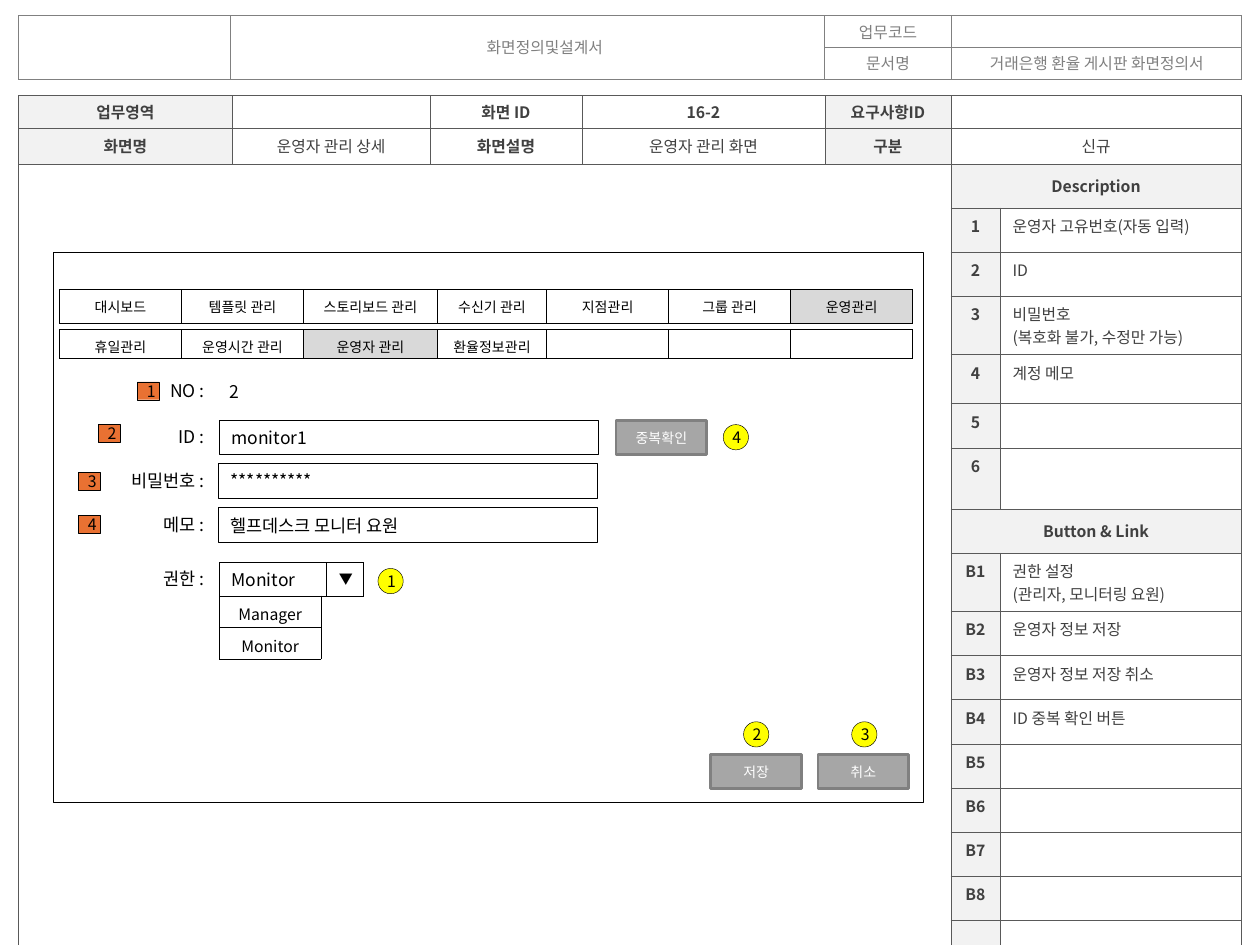
import dataclasses
import lxml.etree
import pptx
import pptx.dml.color
import pptx.enum.shapes
import pptx.enum.text
import pptx.oxml.ns
import pptx.util

Cm = pptx.util.Cm
Pt = pptx.util.Pt
Align = pptx.enum.text.PP_ALIGN
Anchor = pptx.enum.text.MSO_ANCHOR
Shape = pptx.enum.shapes.MSO_SHAPE


@dataclasses.dataclass(frozen=True)
class Theme:
    """Colours, typeface and type sizes of the screen sheet."""
    face: str = "Noto Sans CJK KR"
    white: str = "FFFFFF"
    black: str = "000000"
    gray: str = "808080"
    ink: str = "404040"
    rule: str = "595959"
    label: str = "F2F2F2"
    chosen: str = "D9D9D9"
    button: str = "A6A6A6"
    orange: str = "E97132"
    yellow: str = "FFFF00"
    small: int = 8
    normal: int = 9
    large: int = 10


THEME = Theme()


def colour(code):
    """Turn a hex code into a colour value."""
    return pptx.dml.color.RGBColor.from_string(code)


def assign(target, values):
    """Set each named attribute on the target."""
    for name, value in values.items():
        setattr(target, name, value)


def child(parent, tag, **attributes):
    """Append a drawing element to the parent."""
    return lxml.etree.SubElement(parent, pptx.oxml.ns.qn("a:" + tag), attributes)


def write(frame, text, size, ink, bold=False, align=Align.LEFT, before=0):
    """Fill a text frame, one paragraph for each line of text."""
    frame.text = text
    for para in frame.paragraphs:
        assign(para, {"alignment": align, "space_before": Pt(before)})
        for span in para.runs:
            assign(span.font, {"name": THEME.face, "size": Pt(size), "bold": bold})
            span.font.color.rgb = colour(ink)
            child(span.font._element, "ea", typeface=THEME.face)
        if not para.runs:
            child(para._p, "endParaRPr", sz=str(size * 100))


def draw_borders(cell, ink, width):
    """Put the same line on all four sides of a cell."""
    properties = cell._tc.get_or_add_tcPr()
    for index, tag in enumerate(("lnL", "lnR", "lnT", "lnB")):
        line = child(properties, tag, w=str(Pt(width)))
        child(child(line, "solidFill"), "srgbClr", val=ink)
        properties.insert(index, line)


def draw_table(slide, place, columns, rows, cells, look, merges=()):
    """Draw a table from a sparse dict of cell formats over a shared look."""
    left, top = place
    frame = slide.shapes.add_table(len(rows), len(columns), Cm(left), Cm(top),
                                   Cm(sum(columns)), Cm(sum(rows)))
    table = frame.table
    for parts, name, lengths in ((table.columns, "width", columns),
                                 (table.rows, "height", rows)):
        for part, length in zip(parts, lengths):
            setattr(part, name, Cm(length))
    for row in range(len(rows)):
        for column in range(len(columns)):
            cell = table.cell(row, column)
            style = {"fill": THEME.white, "text": "", "box": {}, "align": Align.CENTER,
                     **look, **cells.get((row, column), {})}
            cell.fill.solid()
            cell.fill.fore_color.rgb = colour(style["fill"])
            assign(cell, {**look.get("box", {}), **style["box"]})
            write(cell.text_frame, style["text"], style["size"], style["ink"],
                  style.get("bold", False), style["align"], style.get("before", 0))
            draw_borders(cell, *style["border"])
    for first, last in merges:
        table.cell(*first).merge(table.cell(*last))


def flat_box(side):
    """Give cell margins without vertical padding, text centred in height."""
    return {"margin_left": Cm(side), "margin_right": Cm(side), "margin_top": 0,
            "margin_bottom": 0, "vertical_anchor": Anchor.MIDDLE}


def draw_header(slide, place):
    """Draw the document header table."""
    look = {"size": THEME.normal, "ink": THEME.gray, "border": (THEME.gray, 0.25),
            "box": flat_box(0.2)}
    cells = {(0, 1): {"text": "화면정의및설계서", "box": {"margin_left": Cm(0.91)}},
             (0, 2): {"text": "업무코드"}, (1, 2): {"text": "문서명"},
             (1, 3): {"text": "거래은행 환율 게시판 화면정의서"}}
    draw_table(slide, place, (4.26, 11.99, 2.56, 5.85), (0.64, 0.64), cells, look,
               [((0, 0), (1, 0)), ((0, 1), (1, 1))])


def draw_sheet(slide, place):
    """Draw the sheet grid with screen facts, descriptions and button notes."""
    look = {"size": THEME.normal, "ink": THEME.ink, "border": (THEME.rule, 0.25)}
    facts = (("업무영역", "", "화면 ID", "16-2", "요구사항ID", ""),
             ("화면명", "운영자 관리 상세", "화면설명", "운영자 관리 화면", "구분", "신규"))
    descriptions = ("운영자 고유번호(자동 입력)", "ID", "비밀번호\n(복호화 불가, 수정만 가능)",
                    "계정 메모", "", "")
    buttons = ("권한 설정\n(관리자, 모니터링 요원)", "운영자 정보 저장", "운영자 정보 저장 취소",
               "ID 중복 확인 버튼", "", "", "", "")
    cells = {}
    for row, line in enumerate(facts):
        for column, text in enumerate(line):
            cells[row, column] = {
                "text": text, "box": flat_box(0.25),
                "bold": column % 2 == 0 or text == "16-2",
                "fill": THEME.label if column in (0, 4) else THEME.white}
    tight = {"margin_left": Cm(0.1), "margin_right": Cm(0.1)}
    sections = ((2, "Description", "", descriptions, {}),
                (9, "Button & Link", "B", buttons, {"box": tight, "before": 1.8}))
    heading = {"bold": True, "fill": THEME.label}
    for start, title, prefix, notes, extra in sections:
        cells[start, 5] = {**heading, "text": title,
                           "box": {"vertical_anchor": Anchor.MIDDLE}}
        for number, note in enumerate(notes, 1):
            cells[start + number, 5] = {**heading, **extra, "text": f"{prefix}{number}"}
            cells[start + number, 6] = {"text": note, "align": Align.LEFT}
    cells[18, 5] = heading
    rows = (0.67, 0.71, *[0.89] * 4, 0.99, 0.89, 1.23, *[0.89] * 9, 0.64)
    merges = [((row, 5), (row, 6)) for row in (0, 1, 2, 9)] + [((2, 0), (18, 4))]
    draw_table(slide, place, (4.31, 3.99, 3.06, 4.9, 2.54, 0.99, 4.86), rows,
               cells, look, merges)


def draw_block(slide, box, fill, line, text="", size=THEME.large, ink=THEME.black,
               align=Align.LEFT, kind=Shape.RECTANGLE):
    """Draw a filled, outlined shape with centred-height text."""
    shape = slide.shapes.add_shape(kind, *map(Cm, box))
    shape.shadow.inherit = False
    shape.fill.solid()
    shape.fill.fore_color.rgb = colour(fill)
    shape.line.color.rgb = colour(line[0])
    shape.line.width = Pt(line[1])
    if text:
        shape.text_frame.vertical_anchor = Anchor.MIDDLE
        write(shape.text_frame, text, size, ink, align=align)


def draw_menus(slide, left, top):
    """Draw the two menu rows, each with its chosen entry shaded."""
    menus = ((0.76, 0.67, 6, ("대시보드", "템플릿 관리", "스토리보드 관리", "수신기 관리",
                              "지점관리", "그룹 관리", "운영관리")),
             (1.57, 0.58, 2, ("휴일관리", "운영시간 관리", "운영자 관리", "환율정보관리")))
    look = {"size": THEME.small, "ink": THEME.black, "border": (THEME.black, 0.5),
            "box": {"margin_bottom": Cm(0.03)}}
    for drop, height, chosen, names in menus:
        cells = {(0, column): {"text": name} for column, name in enumerate(names)}
        cells[0, chosen]["fill"] = THEME.chosen
        draw_table(slide, (left + 0.13, top + drop),
                   (2.46, 2.46, 2.7, 2.2, 2.46, 2.46, 2.46), (height,), cells, look)


def draw_form(slide, left, top):
    """Draw the labelled fields and the role drop-down list."""
    height, label_right = 0.69, 3.3
    thin = (THEME.black, 0.5)
    fields = (("NO :", 1.27, 2.46, "2", 3.3, 2.46, 7.65, (THEME.white, 0.5)),
              ("ID :", 1.07, 3.38, "monitor1", 3.35, 3.4, 7.65, thin),
              ("비밀번호 :", 2.13, 4.27, "**********", 3.33, 4.27, 7.65, thin),
              ("메모 :", 1.42, 5.16, "헬프데스크 모니터 요원", 3.33, 5.16, 7.65, thin),
              ("권한 :", 1.42, 6.25, "Monitor", 3.35, 6.25, 2.9, thin))
    for label, label_width, label_drop, value, x, drop, width, line in fields:
        caption = slide.shapes.add_textbox(Cm(left + label_right - label_width),
                                           Cm(top + label_drop), Cm(label_width), Cm(height))
        caption.text_frame.word_wrap = False
        write(caption.text_frame, label, THEME.large, THEME.black, align=Align.RIGHT)
        draw_block(slide, (left + x, top + drop, width, height), THEME.white, line, value)
    draw_block(slide, (left + 5.51, top + 6.25, 0.74, height), THEME.white, thin,
               "▼", THEME.small)
    draw_table(slide, (left + 3.35, top + 6.93), (2.05,), (0.64, 0.64),
               {(0, 0): {"text": "Manager"}, (1, 0): {"text": "Monitor"}},
               {"size": THEME.normal, "ink": THEME.black, "border": (THEME.black, 0.25),
                "box": {"margin_bottom": Cm(0.03)}})


def draw_marks(slide, left, top):
    """Draw the buttons, the field badges and the numbered circles."""
    for text, x, y in (("중복확인", 11.35, 3.4), ("저장", 13.26, 10.13), ("취소", 15.42, 10.13)):
        draw_block(slide, (left + x, top + y, 1.83, 0.69), THEME.button, (THEME.gray, 1.5),
                   text, THEME.small, THEME.white, Align.CENTER)
    badges = ((1.7, 2.62), (0.91, 3.48), (0.51, 4.45), (0.51, 5.31))
    circles = ((6.55, 6.38), (13.92, 9.47), (16.1, 9.47), (13.51, 3.48))
    for spots, size, fill, kind in ((badges, (0.44, 0.36), THEME.orange, Shape.RECTANGLE),
                                    (circles, (0.51, 0.51), THEME.yellow, Shape.OVAL)):
        for number, (x, y) in enumerate(spots, 1):
            draw_block(slide, (left + x, top + y, *size), fill, (THEME.black, 0.25),
                       str(number), THEME.normal, align=Align.CENTER, kind=kind)


def draw_screen(slide, box):
    """Draw the operator detail screen inside its box."""
    left, top = box[:2]
    draw_block(slide, box, THEME.white, (THEME.black, 0.5))
    for part in (draw_menus, draw_form, draw_marks):
        part(slide, left, top)


def main():
    """Build the deck and save it."""
    deck = pptx.Presentation()
    assign(deck, {"slide_width": Cm(25.4), "slide_height": Cm(19.05)})
    page = deck.slides.add_slide(deck.slide_layouts.get_by_name("Blank"))
    draw_header(page, (0.37, 0.31))
    draw_sheet(page, (0.37, 1.92))
    draw_screen(page, (1.07, 5.08, 17.55, 11.1))
    deck.save("out.pptx")


if __name__ == "__main__":
    main()
